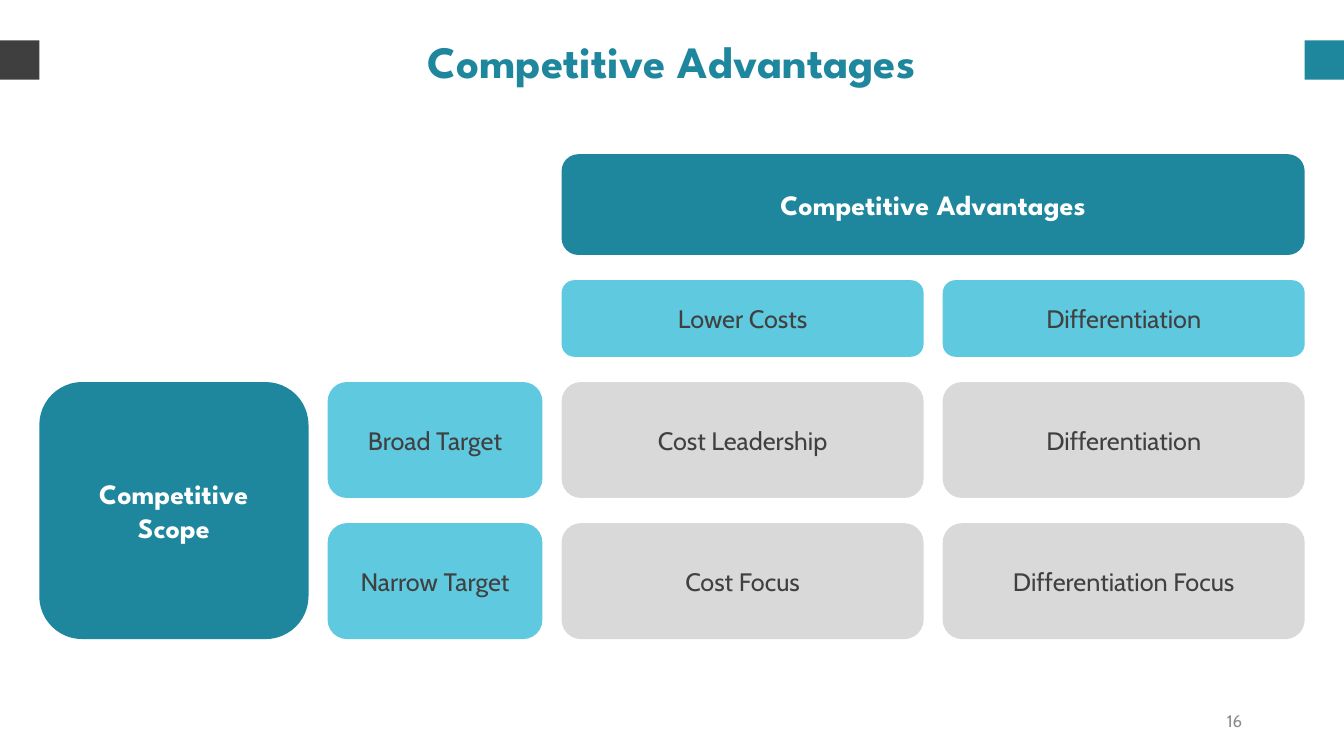
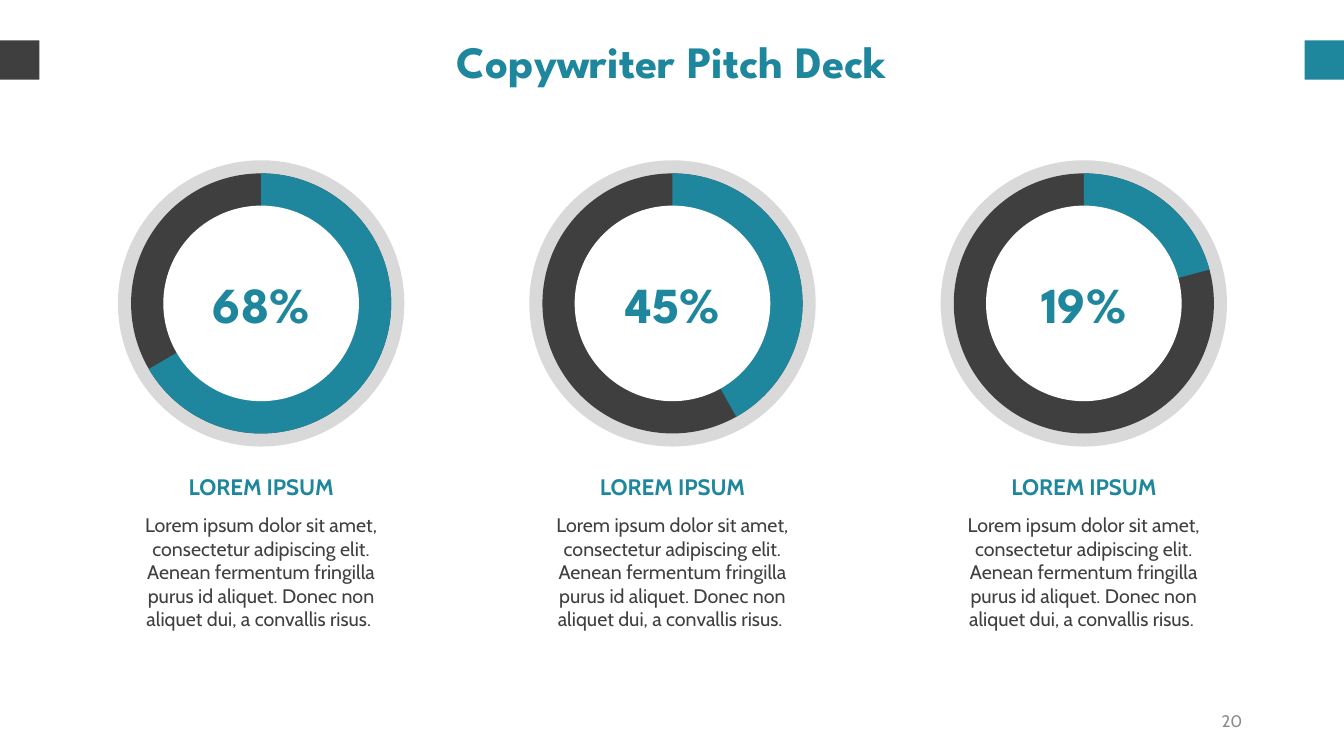
from pptx import Presentation
from pptx.dml.color import RGBColor
from pptx.enum.shapes import MSO_SHAPE as Shape
from pptx.enum.text import MSO_ANCHOR as Anchor, MSO_AUTO_SIZE as AutoSize, PP_ALIGN as Align
from pptx.util import Inches, Pt

WIDTH, HEIGHT = 13.33, 7.5
TEAL, SKY, DARK = "1F879D", "5EC9DF", "3F3F3F"
TEXT, SILVER, GRAY, WHITE = "404040", "D9D9D9", "8C8C8C", "FFFFFF"
HEADING_FONT, BODY_FONT = "League Spartan", "Cabin"
TITLE_ONLY = 5
MARGIN = 0.39

MATRIX_BOX = (MARGIN, 1.53)
COLUMN_WIDTHS = (2.67, 2.13, 3.59, 3.59)
ROW_HEIGHTS = (1, 0.76, 1.15, 1.15)
COLUMN_GAP, ROW_GAP = 0.19, 0.25
HEADER = dict(fill=TEAL, size=20, font=HEADING_FONT, color=WHITE, bold=True)
LABEL = dict(fill=SKY, size=18, font=BODY_FONT, color=TEXT, bold=False)
STRATEGY = {**LABEL, "fill": SILVER}
MATRIX_CELLS = (
    ("Competitive Advantages", 0, 2, 1, 2, HEADER),
    ("Lower Costs", 1, 2, 1, 1, LABEL),
    ("Differentiation", 1, 3, 1, 1, LABEL),
    ("Cost Leadership", 2, 2, 1, 1, STRATEGY),
    ("Differentiation", 2, 3, 1, 1, STRATEGY),
    ("Cost Focus", 3, 2, 1, 1, STRATEGY),
    ("Differentiation Focus", 3, 3, 1, 1, STRATEGY),
    ("Broad Target", 2, 1, 1, 1, LABEL),
    ("Narrow Target", 3, 1, 1, 1, LABEL),
    ("Competitive Scope", 2, 0, 2, 1, HEADER),
)

RING_SIZE, RING_PITCH = 2.84, 4.08
RINGS_LEFT, RINGS_TOP = 1.17, 1.59
RINGS = (("68%", 239.7), ("45%", 150.6), ("19%", 74.9))
CAPTION = "LOREM IPSUM"
DESCRIPTION = (
    "Lorem ipsum dolor sit amet, consectetur adipiscing elit. "
    "Aenean fermentum fringilla purus id aliquet. "
    "Donec non aliquet dui, a convallis risus. "
)


def rgb(color):
    """Turn a hex string into a colour."""
    return RGBColor.from_string(color)


def write(shape, text, size, font, color, bold=False, align=Align.CENTER,
          anchor=Anchor.MIDDLE, inset=None):
    """Write one formatted run into a shape."""
    frame = shape.text_frame
    frame.word_wrap = True
    frame.auto_size = AutoSize.NONE
    frame.vertical_anchor = anchor
    if inset is not None:
        frame.margin_left = frame.margin_right = Inches(inset)
        frame.margin_top = frame.margin_bottom = Inches(inset)
    paragraph = frame.paragraphs[0]
    paragraph.alignment = align
    run = paragraph.add_run()
    run.text = text
    run.font.size = Pt(size)
    run.font.name = font
    run.font.bold = bold
    run.font.color.rgb = rgb(color)


def add_filled(shapes, kind, box, fill):
    """Add a flat preset shape without an outline."""
    shape = shapes.add_shape(kind, *map(Inches, box))
    shape.shadow.inherit = False
    shape.fill.solid()
    shape.fill.fore_color.rgb = rgb(fill)
    shape.line.fill.background()
    return shape


def add_text(shapes, box, text, size, font, color, **options):
    """Add a text box with one run."""
    write(shapes.add_textbox(*map(Inches, box)), text, size, font, color, **options)


def add_framed_slide(presentation, title, number):
    """Add a slide with its title, edge tabs and page number."""
    slide = presentation.slides.add_slide(presentation.slide_layouts[TITLE_ONLY])
    heading = slide.shapes.title
    heading.left, heading.top = Inches(0.68), Inches(0.33)
    heading.width, heading.height = Inches(11.97), Inches(0.54)
    write(heading, title, 32, HEADING_FONT, TEAL, bold=True, anchor=Anchor.TOP, inset=0)
    for left, fill in ((WIDTH - MARGIN, TEAL), (0, DARK)):
        add_filled(slide.shapes, Shape.RECTANGLE, (left, 0.4, MARGIN, MARGIN), fill)
    add_text(slide.shapes, (9.42, 6.95, 3, 0.4), str(number), 12, BODY_FONT, GRAY,
             align=Align.RIGHT)
    return slide


def track(sizes, gap, start, span):
    """Return the offset and length of a run of grid tracks."""
    offset = sum(sizes[:start]) + gap * start
    return offset, sum(sizes[start:start + span]) + gap * (span - 1)


def add_matrix(slide, left, top):
    """Place the strategy matrix from its top left corner."""
    for text, row, column, row_span, column_span, style in MATRIX_CELLS:
        x, width = track(COLUMN_WIDTHS, COLUMN_GAP, column, column_span)
        y, height = track(ROW_HEIGHTS, ROW_GAP, row, row_span)
        cell = add_filled(slide.shapes, Shape.ROUNDED_RECTANGLE,
                          (left + x, top + y, width, height), style["fill"])
        write(cell, text, style["size"], style["font"], style["color"], style["bold"])


def add_ring(slide, left, top, percent, sweep):
    """Place a progress ring with its sweep in degrees."""
    shapes = slide.shapes.add_group_shape().shapes
    layers = ((Shape.OVAL, 0, SILVER), (Shape.OVAL, 0.13, DARK),
              (Shape.PIE, 0.13, TEAL), (Shape.OVAL, 0.45, WHITE))
    for kind, inset, fill in layers:
        size = RING_SIZE - 2 * inset
        layer = add_filled(shapes, kind, (left + inset, top + inset, size, size), fill)
        if kind == Shape.PIE:
            layer.adjustments[0] = 270 * 0.6
            layer.adjustments[1] = (270 + sweep) % 360 * 0.6
    add_text(shapes, (left + 0.68, top + 1.11, 1.48, 0.61), percent, 36,
             HEADING_FONT, TEAL, bold=True, inset=0)


def add_ring_column(slide, left, top, percent, sweep):
    """Place a ring with its caption and description below."""
    add_ring(slide, left, top, percent, sweep)
    add_text(slide.shapes, (left + 0.46, top + 3.1, 1.92, 0.27), CAPTION, 16,
             BODY_FONT, TEAL, bold=True, inset=0)
    add_text(slide.shapes, (left + 0.13, top + 3.5, 2.58, 1.18), DESCRIPTION, 14,
             BODY_FONT, TEXT, anchor=Anchor.TOP, inset=0)


def main():
    """Build and save the presentation."""
    presentation = Presentation()
    presentation.slide_width = Inches(WIDTH)
    presentation.slide_height = Inches(HEIGHT)

    matrix_slide = add_framed_slide(presentation, "Competitive Advantages", 16)
    add_matrix(matrix_slide, *MATRIX_BOX)

    rings_slide = add_framed_slide(presentation, "Copywriter Pitch Deck", 20)
    for index, (percent, sweep) in enumerate(RINGS):
        add_ring_column(rings_slide, RINGS_LEFT + index * RING_PITCH, RINGS_TOP,
                        percent, sweep)

    presentation.save("out.pptx")


if __name__ == "__main__":
    main()
